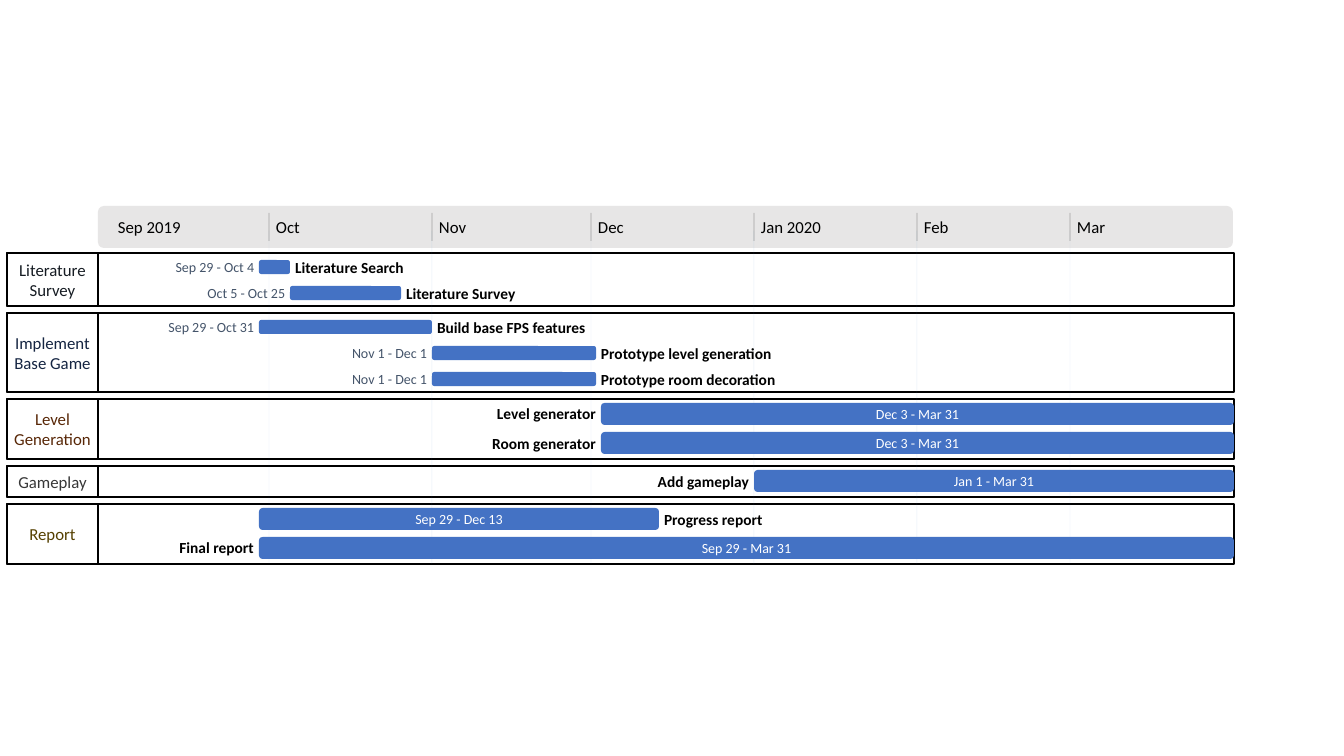
from dataclasses import dataclass
from itertools import accumulate

from lxml.etree import SubElement
from pptx import Presentation
from pptx.dml.color import RGBColor
from pptx.enum.shapes import MSO_CONNECTOR, MSO_SHAPE
from pptx.enum.text import MSO_ANCHOR, MSO_AUTO_SIZE, PP_ALIGN
from pptx.oxml.ns import qn
from pptx.util import Emu, Inches, Pt


@dataclass(frozen=True)
class Theme:
    font: str = "Calibri"
    heading_size: int = 12
    title_size: int = 11
    date_size: int = 10
    black: str = "000000"
    white: str = "FFFFFF"
    header: str = "E7E6E6"
    bar: str = "4472C4"
    grid: str = "5B9BD5"
    date: str = "44546A"


@dataclass(frozen=True)
class RowStyle:
    pitch: int
    bar_height: int
    first_bar: int
    padding: int


THEME = Theme()
SLIDE_SIZE = (1344, 756)
SCALE = Inches(1) / 100.8

# Time axis: October 1 is day zero
MONTH_NAMES = ["Sep", "Oct", "Nov", "Dec", "Jan", "Feb", "Mar"]
MONTH_LENGTHS = [30, 31, 30, 31, 31, 29]
MONTH_STARTS = dict(zip(MONTH_NAMES, accumulate(MONTH_LENGTHS, initial=-30)))
MONTH_LABELS = {"Sep": "Sep 2019", "Jan": "Jan 2020"}
OCTOBER_LEFT = 269.1
DAY_WIDTH = 5.27

# Group frames
FRAME_LEFT, FRAME_TOP, FRAME_WIDTH, LABEL_WIDTH = 7, 253, 1227, 91
GROUP_GAP = 7
TEXT_GAP = 5
DATE_HEIGHT, TITLE_HEIGHT = 17, 19
SLIM = RowStyle(pitch=26, bar_height=14, first_bar=7, padding=1)
WIDE = RowStyle(pitch=29, bar_height=22, first_bar=4, padding=2)

# Group: name, label colour, row style, tasks (title, dates, title side, title width)
GROUPS = [
    ("Literature Survey", "161C23", SLIM, [
        ("Literature Search", "Sep 29 - Oct 4", "right", 118),
        ("Literature Survey", "Oct 5 - Oct 25", "right", 118)]),
    ("Implement Base Game", "152542", SLIM, [
        ("Build base FPS features", "Sep 29 - Oct 31", "right", 156),
        ("Prototype level generation", "Nov 1 - Dec 1", "right", 178),
        ("Prototype room decoration", "Nov 1 - Dec 1", "right", 182)]),
    ("Level Generation", "582707", WIDE, [
        ("Level generator", "Dec 3 - Mar 31", "left", 106),
        ("Room generator", "Dec 3 - Mar 31", "left", 110)]),
    ("Gameplay", "373737", WIDE, [
        ("Add gameplay", "Jan 1 - Mar 31", "left", 98)]),
    ("Report", "554000", WIDE, [
        ("Progress report", "Sep 29 - Dec 13", "right", 106),
        ("Final report", "Sep 29 - Mar 31", "left", 82)]),
]


def to_emu(*pixels):
    return [Emu(round(value * SCALE)) for value in pixels]


def apply_format(target, values):
    for name, value in values.items():
        setattr(target, name, value)


def day_left(day):
    return round(OCTOBER_LEFT + DAY_WIDTH * day)


def bar_span(dates):
    """Return the left and right edge of a range such as 'Oct 5 - Oct 25'."""
    parts = [date.split() for date in dates.split(" - ")]
    first, last = [MONTH_STARTS[month] + int(day) - 1 for month, day in parts]
    return day_left(first), day_left(last + 1)


def write_text(shape, text, size, color, align=PP_ALIGN.CENTER, bold=False, wrap=True):
    frame = shape.text_frame
    apply_format(frame, {
        "margin_left": 0, "margin_right": 0, "margin_top": 0, "margin_bottom": 0,
        "vertical_anchor": MSO_ANCHOR.MIDDLE, "word_wrap": wrap})
    paragraph = frame.paragraphs[0]
    paragraph.alignment = align
    run = paragraph.add_run()
    run.text = text
    apply_format(run.font, {"name": THEME.font, "size": Pt(size), "bold": bold})
    run.font.color.rgb = RGBColor.from_string(color)


def add_box(slide, box, fill, kind=MSO_SHAPE.RECTANGLE, outline=None):
    shape = slide.shapes.add_shape(kind, *to_emu(*box))
    shape.shadow.inherit = False
    shape.fill.solid()
    shape.fill.fore_color.rgb = RGBColor.from_string(fill)
    if outline:
        shape.line.color.rgb = RGBColor.from_string(outline)
        shape.line.width = Pt(1)
    else:
        shape.line.fill.background()
    return shape


def add_text(slide, box, text, size, color, align, **options):
    shape = slide.shapes.add_textbox(*to_emu(*box))
    write_text(shape, text, size, color, align, **options)
    return shape


def add_vertical_line(slide, left, top, bottom, color, width, opacity):
    line = slide.shapes.add_connector(
        MSO_CONNECTOR.STRAIGHT, *to_emu(left, top, left, bottom))
    line.line.color.rgb = RGBColor.from_string(color)
    line.line.width = Pt(width)
    properties = line._element.spPr
    color_element = next(properties.iter(qn("a:srgbClr")))
    SubElement(color_element, qn("a:alpha"), val=str(opacity * 1000))
    SubElement(properties, qn("a:effectLst"))


def add_month_lines(slide, top, bottom, color, width, opacity):
    for month in MONTH_NAMES[1:]:
        add_vertical_line(slide, day_left(MONTH_STARTS[month]), top, bottom,
                          color, width, opacity)


def add_side_text(slide, side, span, middle, size, text, *style, bold=False):
    width, height = size
    on_left = side == "left"
    left = span[0] - TEXT_GAP - width if on_left else span[1] + TEXT_GAP
    align = PP_ALIGN.RIGHT if on_left else PP_ALIGN.LEFT
    shape = add_text(slide, (left, round(middle - height / 2), width, height),
                     text, *style, align, bold=bold)
    shape.text_frame.auto_size = MSO_AUTO_SIZE.SHAPE_TO_FIT_TEXT


def add_task(slide, top, row_style, task):
    title, dates, side, title_width = task
    span = bar_span(dates)
    height = row_style.bar_height
    middle = top + height / 2
    bar = add_box(slide, (span[0], top, span[1] - span[0], height),
                  THEME.bar, MSO_SHAPE.ROUNDED_RECTANGLE)
    if row_style is WIDE:
        write_text(bar, dates, THEME.date_size, THEME.white)
    else:
        add_side_text(slide, "left", span, middle, (6 * len(dates), DATE_HEIGHT),
                      dates, THEME.date_size, THEME.date)
    add_side_text(slide, side, span, middle, (title_width, TITLE_HEIGHT),
                  title, THEME.title_size, THEME.black, bold=True)


def main():
    presentation = Presentation()
    presentation.slide_width, presentation.slide_height = to_emu(*SLIDE_SIZE)
    slide = presentation.slides.add_slide(presentation.slide_layouts[6])

    # Group frames with their labels
    group_tops = []
    top = FRAME_TOP
    for name, color, row_style, tasks in GROUPS:
        height = row_style.pitch * len(tasks) + row_style.padding
        add_box(slide, (FRAME_LEFT, top, FRAME_WIDTH, height),
                THEME.white, outline=THEME.black)
        label = add_box(slide, (FRAME_LEFT, top, LABEL_WIDTH, height),
                        THEME.white, outline=THEME.black)
        write_text(label, name, THEME.heading_size, color)
        group_tops.append(top)
        top += height + GROUP_GAP

    # Month header and grid
    header = add_box(slide, (98, 206, 1135, 42), THEME.header,
                     MSO_SHAPE.ROUNDED_RECTANGLE)
    header.adjustments[0] = 0.14
    add_month_lines(slide, 231, top - GROUP_GAP, THEME.grid, 0.3, 15)

    # Task bars
    for group_top, (_, _, row_style, tasks) in zip(group_tops, GROUPS):
        for index, task in enumerate(tasks):
            bar_top = group_top + row_style.first_bar + index * row_style.pitch
            add_task(slide, bar_top, row_style, task)

    # Month names and ticks
    for month in MONTH_NAMES:
        left = 118 if month == "Sep" else day_left(MONTH_STARTS[month]) + 7
        add_text(slide, (left, 217, 80, 20), MONTH_LABELS.get(month, month),
                 THEME.heading_size, THEME.black, PP_ALIGN.LEFT, wrap=False)
    add_month_lines(slide, 213, 241, THEME.black, 0.5, 30)

    presentation.save("out.pptx")


main()
